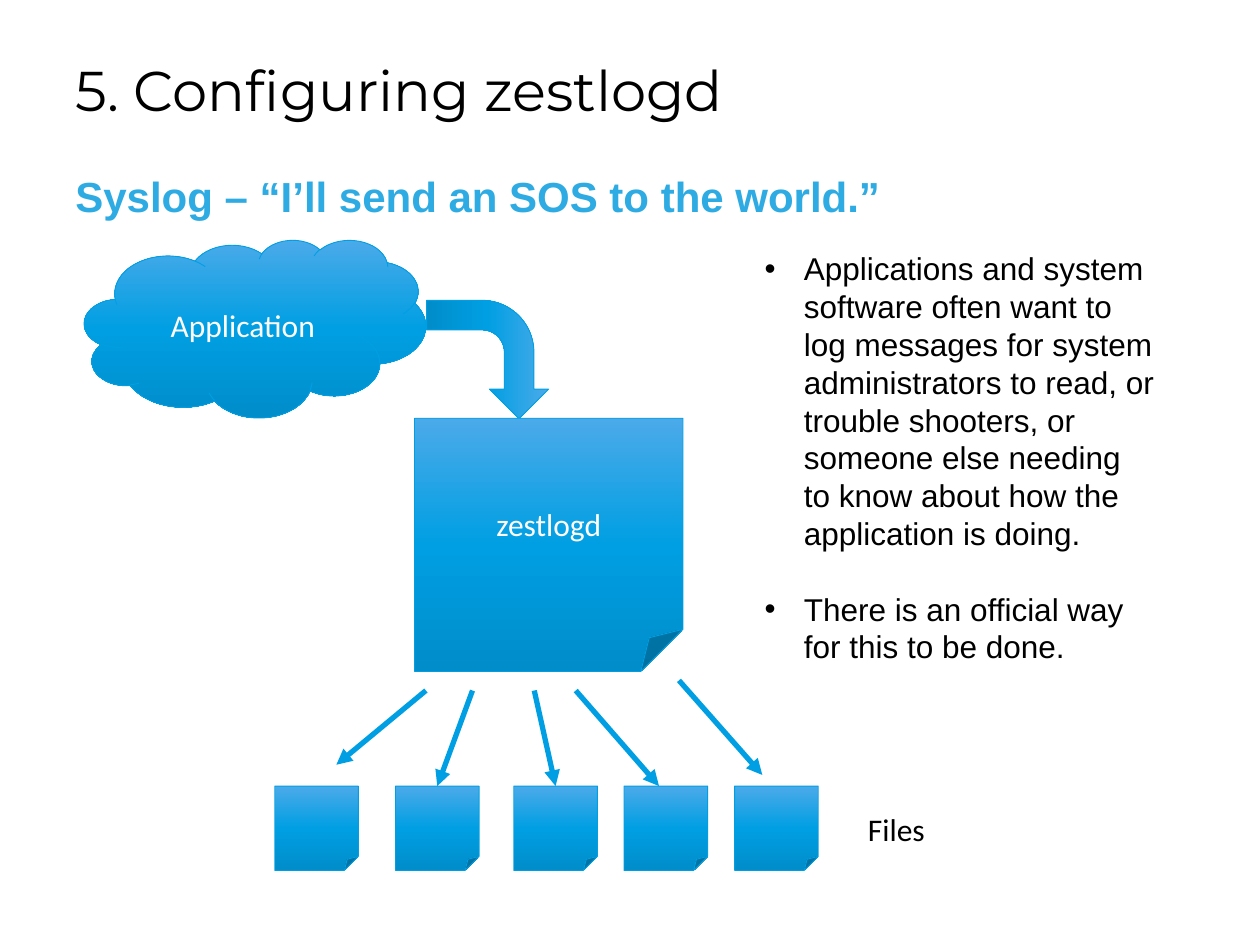
import copy
import pptx
import pptx.util
import pptx.dml.color
import pptx.enum.shapes
import pptx.enum.text
import pptx.oxml.ns
import lxml.etree

Pt = pptx.util.Pt
Kind = pptx.enum.shapes.MSO_SHAPE
Align = pptx.enum.text.PP_ALIGN
Anchor = pptx.enum.text.MSO_ANCHOR
qn = pptx.oxml.ns.qn

# Content: lengths in points
DAEMON = "zestlogd"
TITLE = f"5. Configuring {DAEMON}"
HEAD = "Syslog – “I’ll send an SOS to the world.”"
POINTS = [
    "Applications and system software often want to log messages for system "
    "administrators to read, or trouble shooters, or someone else needing "
    "to know about how the application is doing.",
    "There is an official way for this to be done.",
]
BLUE, BLACK, WHITE = "009FE3", "000000", "FFFFFF"
SHADES = [(0, "4BAAE9"), (0.5, BLUE), (1, "008DCA")]
FILES = [157, 226, 293.6, 356.6, 419.8]  # left edges
FILE_TOP, FILE_W, FILE_H = 449.2, 47.8, 48.2
# Start, end, and the file joined at its top (or None)
ARROWS = [
    ((243.4, 394.6), (192.2, 437), None),
    ((270, 394.6), (249.9, 449.2), 1),
    ((305.3, 394.6), (317.5, 449.2), 2),
    ((329, 394.6), (376.6, 449.2), None),
    ((388, 388.8), (435.6, 442.8), None),
]


def color(code):
    return pptx.dml.color.RGBColor.from_string(code)


def style(para, size, font, code, bold=False):
    for run in para.runs:
        run.font.size = Pt(size)
        run.font.name = font
        run.font.bold = bold
        run.font.color.rgb = color(code)


def shade(fill):
    fill.gradient()
    fill.gradient_angle = 270
    stops = fill._fill._gradFill.find(qn("a:gsLst"))
    stops.append(copy.deepcopy(stops[-1]))
    for stop, (pos, code) in zip(fill.gradient_stops, SHADES):
        stop.position = pos
        stop.color.rgb = color(code)


def block(kind, box, text=""):
    shape = slide.shapes.add_shape(kind, *map(Pt, box))
    shape.shadow.inherit = False
    shade(shape.fill)
    shape.line.color.rgb = color(BLUE)
    shape.line.width = Pt(0.5)
    if text:
        frame = shape.text_frame
        frame.text = text
        frame.vertical_anchor = Anchor.MIDDLE
        frame.paragraphs[0].alignment = Align.CENTER
        style(frame.paragraphs[0], 18, "Calibri", WHITE)
    return shape


def label(box, text, size, font, code, bold=False, wrap=True):
    frame = slide.shapes.add_textbox(*map(Pt, box)).text_frame
    frame.word_wrap = wrap
    frame.text = text
    for para in frame.paragraphs:
        style(para, size, font, code, bold)
    return frame


def arrow(start, end, target):
    line = slide.shapes.add_connector(
        pptx.enum.shapes.MSO_CONNECTOR.STRAIGHT, *map(Pt, start + end))
    if target is not None:
        line.end_connect(files[target], 0)
    line.line.color.rgb = color(BLUE)
    line.line.width = Pt(3)
    tip = lxml.etree.SubElement(line.line._get_or_add_ln(), qn("a:tailEnd"))
    tip.set("type", "triangle")
    lxml.etree.SubElement(line._element.spPr, qn("a:effectLst"))


deck = pptx.Presentation()
deck.slide_width, deck.slide_height = Pt(720), Pt(540)
slide = deck.slides.add_slide(deck.slide_layouts[5])

# Title and heading
title = slide.shapes.title
title.left, title.top, title.width, title.height = map(Pt, (36, 28, 649.4, 46))
title.text_frame.text = TITLE
title.text_frame.auto_size = pptx.enum.text.MSO_AUTO_SIZE.NONE
title.text_frame.vertical_anchor = Anchor.TOP
title.text_frame.paragraphs[0].alignment = Align.LEFT
style(title.text_frame.paragraphs[0], 32, "Montserrat", BLACK)
label((36, 94, 649.4, 36), HEAD, 24, "Arial", "2EABE2", bold=True)

# Application sends to the daemon
block(Kind.CLOUD, (48.2, 137, 195.1, 101.5), "Application")
block(Kind.BENT_ARROW, (244.8, 170.6, 67.7, 69.8)).rotation = 90
block(Kind.FOLDED_CORNER, (236.9, 239, 153.4, 144.7), DAEMON)

# Bulleted points
notes = label((429.8, 139, 236.9, 247), "\n".join(POINTS), 18, "Arial", BLACK)
for para in notes.paragraphs:
    props = para._p.get_or_add_pPr()
    props.set("marL", str(Pt(22.5)))
    props.set("indent", str(-Pt(22.5)))
    lxml.etree.SubElement(props, qn("a:buFont")).set("typeface", "Arial")
    lxml.etree.SubElement(props, qn("a:buChar")).set("char", "•")
notes.paragraphs[1].space_before = Pt(21.6)

# Files and the arrows to them
files = [block(Kind.FOLDED_CORNER, (left, FILE_TOP, FILE_W, FILE_H))
         for left in FILES]
for start, end, target in ARROWS:
    arrow(start, end, target)
label((488.9, 459.4, 47.5, 28.8), "Files", 18, "Calibri", BLACK, wrap=False)

deck.save("out.pptx")
